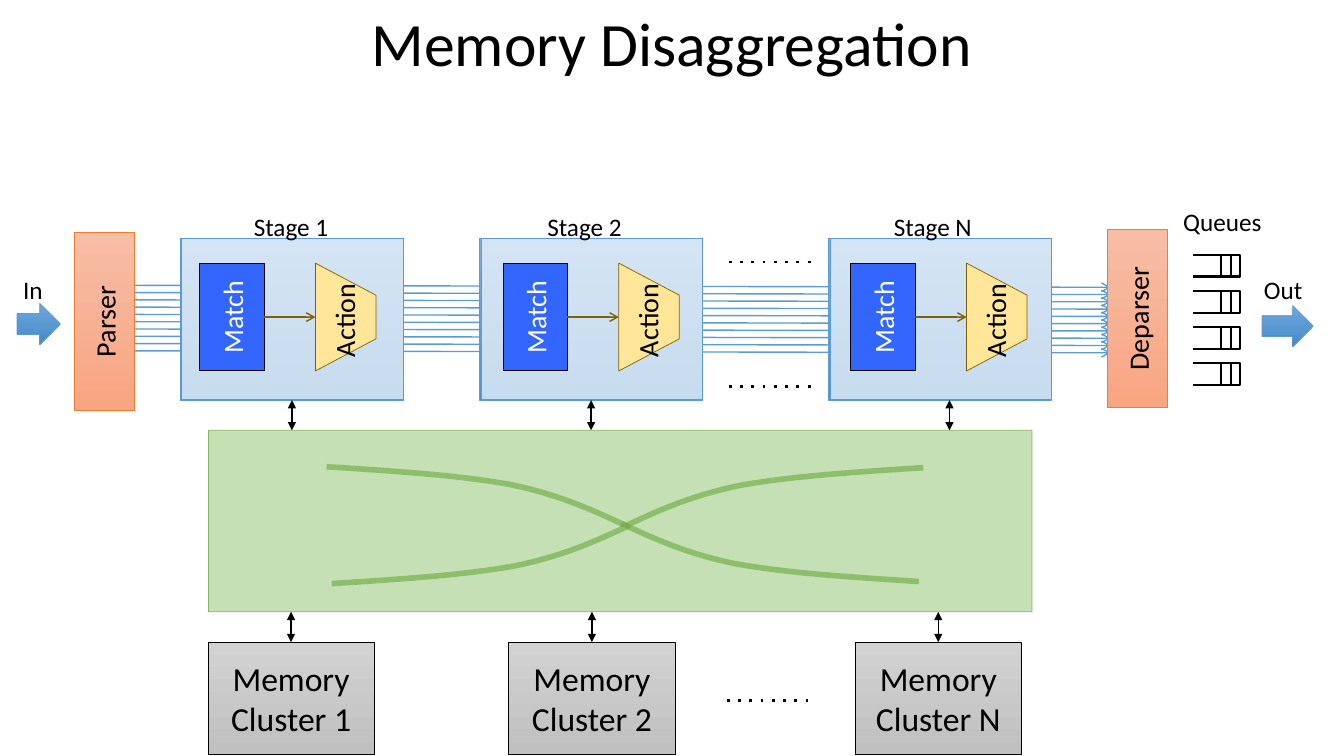
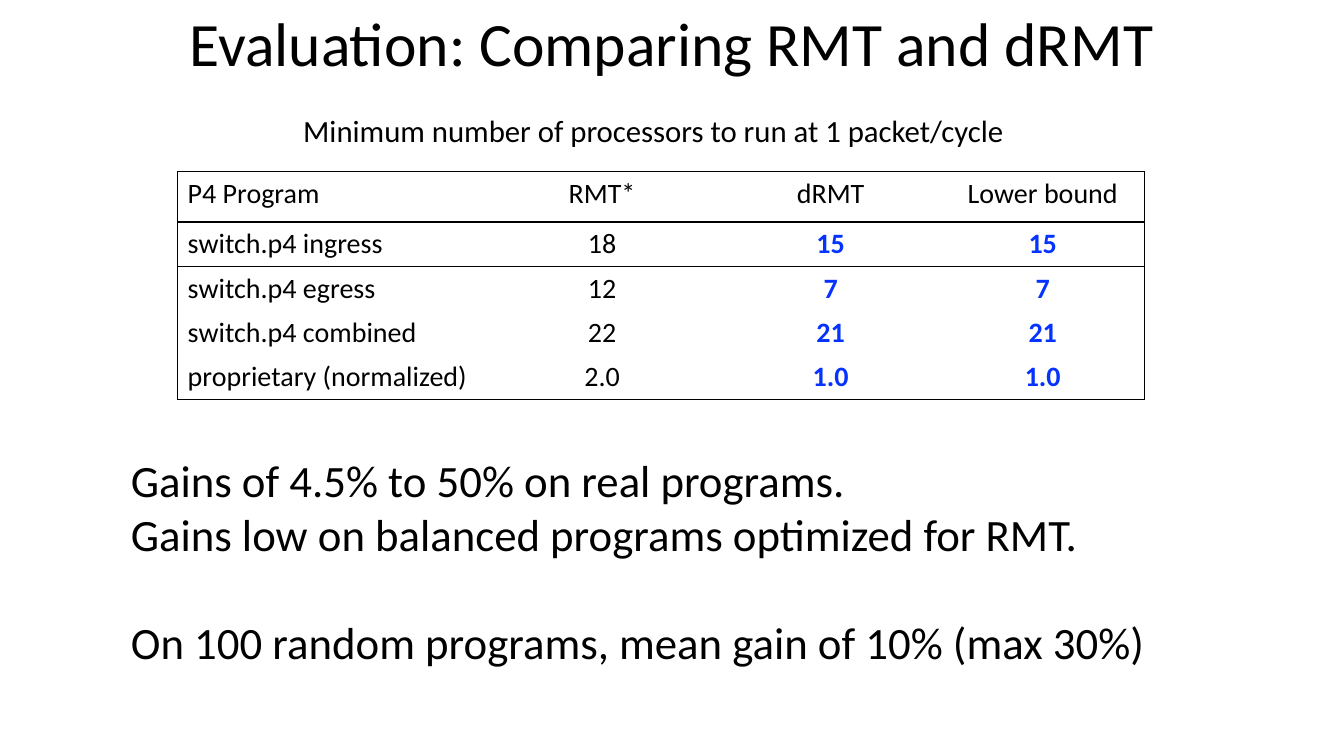
from lxml import etree
from pptx import Presentation
from pptx.dml.color import RGBColor
from pptx.enum import shapes as es, text as et
from pptx.oxml.ns import qn
from pptx.util import Pt

BLACK = RGBColor(0x00, 0x00, 0x00)
WHITE = RGBColor(0xFF, 0xFF, 0xFF)
BLUE = RGBColor(0x5B, 0x9B, 0xD5)
SKY = (RGBColor(0x71, 0xA6, 0xDB), RGBColor(0x44, 0x8A, 0xCA))
PEACH = (RGBColor(0xF7, 0xBD, 0xA5), RGBColor(0xF8, 0xA5, 0x82))
GRAY = (RGBColor(0xD2, 0xD2, 0xD2), RGBColor(0xC0, 0xC0, 0xC0))
ORANGE = RGBColor(0xED, 0x7D, 0x31)
ROYAL = RGBColor(0x33, 0x66, 0xFF)
SAND = RGBColor(0xFF, 0xE6, 0x99)
BROWN = RGBColor(0x80, 0x60, 0x00)
MINT = RGBColor(0xC5, 0xE0, 0xB4)
GREEN = RGBColor(0x70, 0xAD, 0x47)
BOLD = RGBColor(0x04, 0x32, 0xFF)
FONT = "Calibri"

RECT = es.MSO_SHAPE.RECTANGLE
ARROW = es.MSO_SHAPE.RIGHT_ARROW
CENTER = et.PP_ALIGN.CENTER
MIDDLE = et.MSO_ANCHOR.MIDDLE

# name, stage left, label left, match left, link x
STAGES = [("Stage 1", 129, 174.2, 142.6, 208.5),
          ("Stage 2", 342.7, 383.8, 359.3, 422.2),
          ("Stage N", 592, 631.4, 607.7, 678.2)]
CLUSTERS = [("Memory Cluster 1", 148.5), ("Memory Cluster 2", 363.4),
            ("Memory Cluster N", 610.8)]
ENDS = [("Parser", 53.3, 166.3), ("Deparser", 791.3, 164.2)]
PORTS = [("In", 6.5, 12.2, 216.7, 31), ("Out", 892.8, 901.4, 218.2, 36.7)]
DOTS = [(520.6, 187.2), (520.6, 275.8), (519.1, 500.4)]
# start and direction of each half of the crossing
CURVES = [(233.3, 333.4, 1, 1), (656.3, 415.4, -1, -1),
          (659.5, 334.1, -1, 1), (236.9, 416.9, 1, -1)]
BEND = [(0, 0), (47, 3), (94, 6), (130, 12.5),
        (165, 19.5), (189, 30.5), (212.5, 41.5)]

ROWS = [("P4 Program", "RMT*", "dRMT", "Lower bound"),
        ("switch.p4 ingress", "18", "15", "15"),
        ("switch.p4 egress", "12", "7", "7"),
        ("switch.p4 combined", "22", "21", "21"),
        ("proprietary (normalized)", "2.0", "1.0", "1.0")]
WIDTHS = [219, 168.4, 158.2, 144.8]
HEIGHTS = [36] + [31.7] * 4
RULED = (0, 1, 4)  # rows with a line below
CAPTION = "Minimum number of processors to run at 1 packet/cycle"
GAINS = [("Gains of 4.5% to 50% on real programs.", 0),
         ("Gains low on balanced programs optimized for RMT.", 0),
         ("On 100 random programs, mean gain of 10% (max 30%)", 39)]


def style(para, size, color=BLACK, bold=False):
    for run in para.runs:
        font = run.font
        font.name, font.size, font.bold = FONT, Pt(size), bold
        font.color.rgb = color


def fade(fill, percent):
    """Set the opacity of a solid fill."""
    clr = fill._xPr.find(qn("a:solidFill"))[0]
    etree.SubElement(clr, qn("a:alpha")).set("val", str(percent * 1000))


def paint(fill, color):
    """Fill with one colour, or with a pair from top to bottom."""
    if isinstance(color, RGBColor):
        fill.solid()
        fill.fore_color.rgb = color
    else:
        fill.gradient()
        fill.gradient_angle = 270
        for stop, tone in zip(fill.gradient_stops, color):
            stop.color.rgb = tone


def block(slide, kind, x, y, w, h, fill, edge):
    shape = slide.shapes.add_shape(kind, Pt(x), Pt(y), Pt(w), Pt(h))
    shape.shadow.inherit = False
    paint(shape.fill, fill)
    shape.line.color.rgb = edge
    shape.line.width = Pt(0.5)
    return shape


def label(shape, words, size, color=BLACK, turned=False, inset=7.2):
    frame = shape.text_frame
    frame.text = words
    frame.word_wrap = True
    frame.vertical_anchor = MIDDLE
    frame.margin_left = frame.margin_right = Pt(inset)
    frame.margin_top = frame.margin_bottom = Pt(inset / 2)
    if turned:
        frame._txBody.bodyPr.set("vert", "vert270")
    frame.paragraphs[0].alignment = CENTER
    style(frame.paragraphs[0], size, color)


def note(slide, words, x, y, w, h, size, wrap=False):
    box = slide.shapes.add_textbox(Pt(x), Pt(y), Pt(w), Pt(h))
    frame = box.text_frame
    frame.text = words
    frame.word_wrap = wrap
    frame.auto_size = et.MSO_AUTO_SIZE.SHAPE_TO_FIT_TEXT
    for para in frame.paragraphs:
        style(para, size)
    return box


def wire(slide, x1, y1, x2, y2, color, width, head=None, tail=None, dash=None):
    line = slide.shapes.add_connector(es.MSO_CONNECTOR.STRAIGHT,
                                      Pt(x1), Pt(y1), Pt(x2), Pt(y2))
    line.line.color.rgb = color
    line.line.width = Pt(width)
    ln = line.line._get_or_add_ln()
    for tag, attr, val in (("prstDash", "val", dash), ("headEnd", "type", head),
                           ("tailEnd", "type", tail)):
        if val:
            etree.SubElement(ln, qn("a:" + tag)).set(attr, val)
    etree.SubElement(line._element.spPr, qn("a:effectLst"))
    return line


def stroke(slide, points, color, width):
    """Draw an open outline through the points."""
    spots = [(Pt(x), Pt(y)) for x, y in points]
    pen = slide.shapes.build_freeform(*spots[0])
    pen.add_line_segments(spots[1:], close=False)
    shape = pen.convert_to_shape()
    shape.shadow.inherit = False
    shape.fill.background()
    shape.line.color.rgb = color
    shape.line.width = Pt(width)
    return shape


def bezier(knots, steps=12):
    """Sample a chain of cubic curves."""
    points = [knots[0]]
    for i in range(0, len(knots) - 1, 3):
        for n in range(1, steps + 1):
            t = n / steps
            mix = ((1 - t) ** 3, 3 * t * (1 - t) ** 2, 3 * t * t * (1 - t), t ** 3)
            points.append(tuple(sum(m * k[axis] for m, k in zip(mix, knots[i:i + 4]))
                                for axis in (0, 1)))
    return points


def new_slide(deck, title):
    slide = deck.slides.add_slide(deck.slide_layouts[6])
    box = slide.shapes.add_textbox(Pt(39), Pt(-18.7), Pt(882), Pt(104.4))
    label(box, title, 44)
    box.text_frame.paragraphs[0].line_spacing = 0.9
    return slide


def add_queues(slide):
    left, right, high = 852.5, 885.6, 15.3
    for i in range(4):
        top = 182.2 + 25.8 * i
        low = top + high
        stroke(slide, [(left, top), (right, top), (right, low), (left, low)], BLACK, 1.5)
        for x in (872, 879):
            wire(slide, x, top, x, low, BLACK, 1.5)
    note(slide, "Queues", 838, 144, 72.7, 28.8, 18)


def add_stage(slide, name, left, text_x, match_x, link_x):
    top, wide, high = 170.6, 159.1, 115.2
    base = block(slide, RECT, left, top, wide, high, SKY, BLUE)
    veil = block(slide, RECT, left + 0.8, top, wide - 0.8, high - 0.7, WHITE, BLUE)
    fade(veil.fill, 70)
    note(slide, name, text_x, 147.6, 70, 28.8, 18)

    match = block(slide, RECT, match_x, 188.3, 46, 76.4, ROYAL, BLACK)
    label(match, "Match", 20, WHITE, turned=True)
    mid = 226.5
    center = match_x + 104.3
    step = wire(slide, match_x + 46, mid, center - 21.6, mid, BROWN, 1, tail="arrow")
    step.begin_connect(match, 3)
    action = block(slide, es.MSO_SHAPE.TRAPEZOID, center - 38.5, mid - 21.6,
                   77, 43.2, SAND, BROWN)
    action.rotation = 90
    action.adjustments[0] = 0.53
    text = note(slide, "Action", center - 41, mid - 20.3, 80, 31.7, 20, wrap=True)
    text.rotation = 270

    link = wire(slide, link_x, top + high, link_x, 307.4, BLACK, 1,
                "triangle", "triangle")
    if abs(link_x - left - wide / 2) < 1:
        link.begin_connect(base, 2)


def add_fabric(slide):
    """Draw the crossing between stages and clusters."""
    fabric = block(slide, RECT, 149, 307.4, 588.2, 129.6, MINT, GREEN)
    fade(fabric.line.fill, 83)
    for x, y, sx, sy in CURVES:
        knots = [(x + sx * dx, y + sy * dy) for dx, dy in BEND]
        fade(stroke(slide, bezier(knots), GREEN, 4).line.fill, 65)


def add_cluster(slide, name, left):
    top, wide = 458.7, 118.8
    box = block(slide, RECT, left, top, wide, 79.9, GRAY, BLACK)
    label(box, name, 24, inset=0)
    x = left + wide / 2
    link = wire(slide, x, 437, x, top, BLACK, 1, "triangle", "triangle")
    link.end_connect(box, 0)


def draw_memory(deck):
    slide = new_slide(deck, "Memory Disaggregation")
    add_queues(slide)
    for i in range(10):
        y = 203.8 + 5.2 * i
        wire(slide, 95.8, y, 793.4, y + 1.4, BLUE, 1, tail="arrow")
    for x, y in DOTS:
        wire(slide, x, y, x + 62.6, y, BLACK, 2, dash="dot")
    for stage in STAGES:
        add_stage(slide, *stage)
    for name, x, y in ENDS:
        box = block(slide, RECT, x, y, 42.5, 126.7, PEACH, ORANGE)
        label(box, name, 20, turned=True)
    for name, text_x, x, y, wide in PORTS:
        block(slide, ARROW, x, y, wide, 29.5, SKY, BLUE)
        note(slide, name, text_x + 2.9, 192.2, wide + 10, 28.8, 18)
    add_fabric(slide)
    for cluster in CLUSTERS:
        add_cluster(slide, *cluster)


def rule(cell, sides):
    """Draw the named sides of a cell and clear the others."""
    props = cell._tc.get_or_add_tcPr()
    for i, side in enumerate("LRTB"):
        ln = etree.Element(qn("a:ln" + side), w=str(Pt(1)))
        if side in sides:
            fill = etree.SubElement(ln, qn("a:solidFill"))
            etree.SubElement(fill, qn("a:srgbClr")).set("val", str(BLACK))
        else:
            etree.SubElement(ln, qn("a:noFill"))
        props.insert(i, ln)


def add_grid(slide):
    table = slide.shapes.add_table(len(ROWS), len(WIDTHS), Pt(126.9), Pt(122.6),
                                   Pt(sum(WIDTHS)), Pt(sum(HEIGHTS))).table
    table.first_row = table.horz_banding = False
    for col, wide in zip(table.columns, WIDTHS):
        col.width = Pt(wide)
    for r, (row, high) in enumerate(zip(ROWS, HEIGHTS)):
        table.rows[r].height = Pt(high)
        for c, words in enumerate(row):
            cell = table.cell(r, c)
            cell.text = words
            cell.fill.background()
            sides = {0: "L", len(row) - 1: "R"}.get(c, "")
            sides += "T" if r == 0 or r - 1 in RULED else ""
            sides += "B" if r in RULED else ""
            rule(cell, sides)
            para = cell.text_frame.paragraphs[0]
            if c:
                para.alignment = CENTER
            strong = r > 0 and c > 1
            style(para, 20, BOLD if strong else BLACK, strong)


def draw_results(deck):
    slide = new_slide(deck, "Evaluation: Comparing RMT and dRMT")
    add_grid(slide)
    note(slide, CAPTION, 209.5, 76.3, 540.7, 33.8, 22)
    words = "\n".join(line for line, gap in GAINS)
    box = note(slide, words, 86.4, 319.7, 789, 162.7, 32)
    for para, (line, gap) in zip(box.text_frame.paragraphs, GAINS):
        if gap:
            para.space_before = Pt(gap)


def main():
    deck = Presentation()
    deck.slide_width, deck.slide_height = Pt(960), Pt(540)
    draw_memory(deck)
    draw_results(deck)
    deck.save("out.pptx")


if __name__ == "__main__":
    main()
